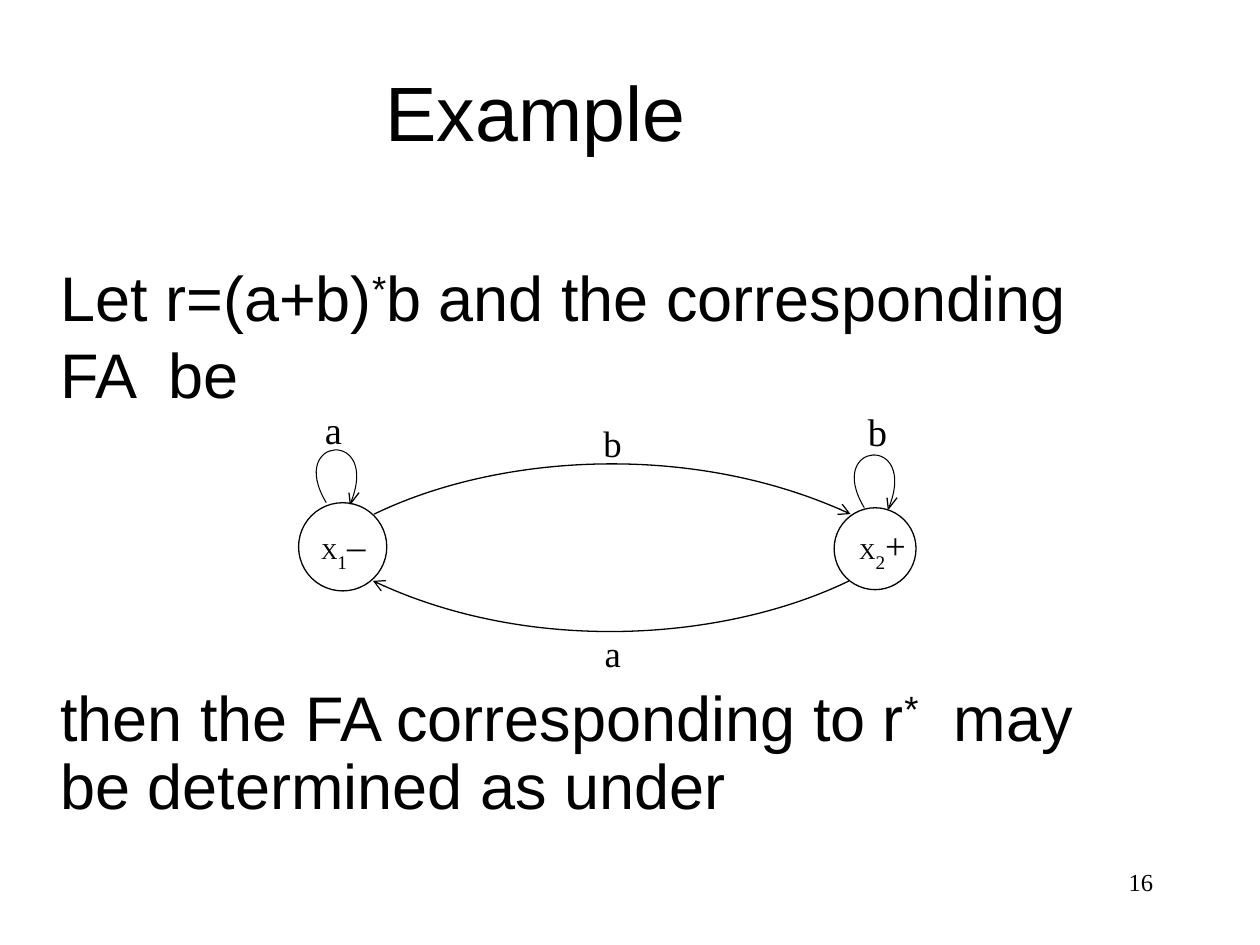
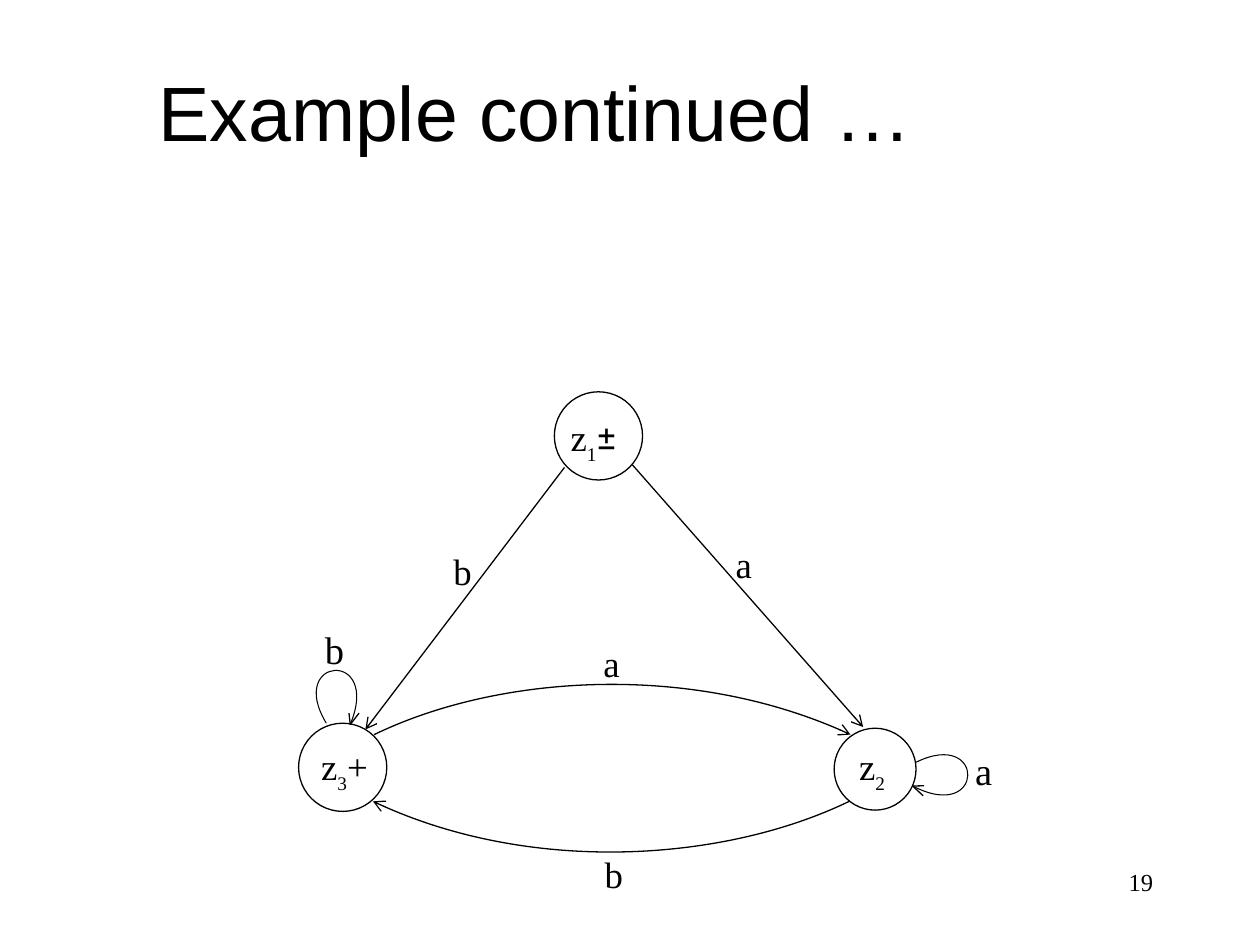
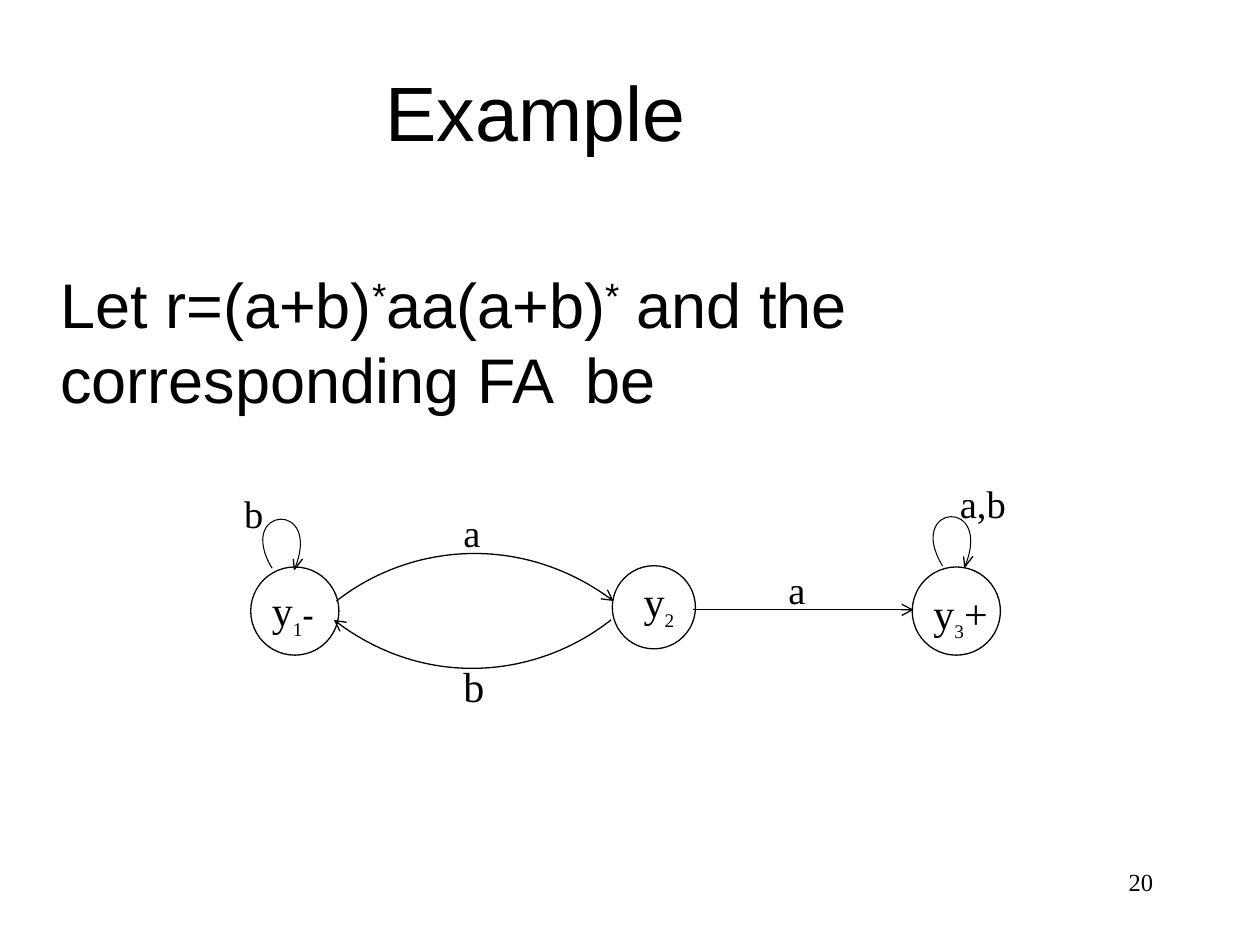
from dataclasses import dataclass
from math import cos, radians, sin
from typing import NamedTuple

from lxml.etree import SubElement
from pptx import Presentation
from pptx.dml.color import RGBColor
from pptx.enum.shapes import MSO_CONNECTOR as Connector, MSO_SHAPE as Preset
from pptx.enum.text import MSO_ANCHOR as Anchor, PP_ALIGN as Align
from pptx.oxml.ns import qn
from pptx.util import Inches, Pt


@dataclass(frozen=True)
class Theme:
    ink: RGBColor = RGBColor(0x00, 0x00, 0x00)
    paper: RGBColor = RGBColor(0xFF, 0xFF, 0xFF)
    sans: str = "Arial"
    serif: str = "Times New Roman"
    sign: str = "Cabin"
    title: float = 44
    body: float = 36
    large: float = 24
    loop_tag: float = 22
    tag: float = 21
    index: float = 19
    page: float = 14
    small: float = 13
    edge: float = 0.75
    loop_edge: float = 0.6


THEME = Theme()


class Point(NamedTuple):
    x: float
    y: float

    def plus(self, dx: float, dy: float) -> "Point":
        return Point(self.x + dx, self.y + dy)


class Box(NamedTuple):
    left: float
    top: float
    width: float
    height: float


class Run(NamedTuple):
    text: str
    size: float
    font: str = THEME.serif
    base: int = 0
    bold: bool = False


@dataclass(frozen=True)
class Paragraph:
    runs: list[Run]
    line: float
    before: float = 0


@dataclass(frozen=True)
class Label:
    box: Box
    runs: list[Run]
    top_margin: float = 0.05


@dataclass(frozen=True)
class State:
    corner: Point
    size: float
    label: Label


@dataclass(frozen=True)
class Loop:
    start: Point
    scale: float = 1
    turn: float = 0


@dataclass(frozen=True)
class Automaton:
    states: list[State]
    arcs: list[list[Point]]
    loops: list[Loop]
    arrows: list[tuple[Point, Point]]
    tags: list[Label]


@dataclass(frozen=True)
class Page:
    title: str
    number: str
    automaton: Automaton
    body_top: float = 0
    body: tuple[Paragraph, ...] = ()


LOOP_CURVE = [Point(0, 0), Point(-0.32, -0.53), Point(0.44, -0.59), Point(0.19, 0.01)]
LOOP_BARBS = [Point(0.07, -0.09), Point(-0.01, -0.09)]


def write(paragraph, runs: list[Run]) -> None:
    for part in runs:
        run = paragraph.add_run()
        run.text = part.text
        run.font.name = part.font
        run.font.size = Pt(part.size)
        run.font.bold = part.bold
        run.font.color.rgb = THEME.ink
        if part.base:
            run._r.get_or_add_rPr().set("baseline", str(part.base * 1000))


def add_frame(slide, box: Box):
    frame = slide.shapes.add_textbox(*map(Inches, box)).text_frame
    frame.word_wrap = True
    return frame


def draw_label(slide, label: Label, align=Align.LEFT, anchor=Anchor.TOP) -> None:
    frame = add_frame(slide, label.box)
    frame.margin_top = Inches(label.top_margin)
    frame.vertical_anchor = anchor
    frame.paragraphs[0].alignment = align
    write(frame.paragraphs[0], label.runs)


def draw_body(slide, top: float, paragraphs: tuple[Paragraph, ...]) -> None:
    frame = add_frame(slide, Box(0, top, 8.94, 4.56))
    frame.margin_left = Inches(0.48)
    for order, content in enumerate(paragraphs):
        paragraph = frame.add_paragraph() if order else frame.paragraphs[0]
        paragraph.line_spacing = Pt(content.line)
        paragraph.space_before = Pt(content.before)
        write(paragraph, content.runs)


def ink_line(shape, width: float, arrow: bool = False) -> None:
    shape.line.color.rgb = THEME.ink
    shape.line.width = Pt(width)
    properties = shape._element.spPr
    if arrow:
        SubElement(properties.find(qn("a:ln")), qn("a:tailEnd"), type="arrow")
    SubElement(properties, qn("a:effectLst"))


def draw_line(slide, start: Point, end: Point, arrow: bool = False) -> None:
    line = slide.shapes.add_connector(
        Connector.STRAIGHT, *map(Inches, (*start, *end)))
    ink_line(line, THEME.edge, arrow)


def draw_curve(slide, points: list[Point], width: float, arrow: bool = False) -> None:
    start, *others = [(Inches(x), Inches(y)) for x, y in points]
    builder = slide.shapes.build_freeform(*start)
    builder.add_line_segments(others, close=False)
    curve = builder.convert_to_shape()
    segments = list(curve._element.iter(qn("a:lnTo")))
    outline = segments[0].getparent()
    bezier = SubElement(outline, qn("a:cubicBezTo"))
    for segment in segments:
        bezier.append(segment[0])
        outline.remove(segment)
    curve.fill.background()
    ink_line(curve, width, arrow)


def draw_loop(slide, loop: Loop) -> None:
    c, s = cos(radians(loop.turn)), sin(radians(loop.turn))

    def placed(origin: Point, offset: Point) -> Point:
        x, y = offset.x * loop.scale, offset.y * loop.scale
        return origin.plus(x * c - y * s, x * s + y * c)

    curve = [placed(loop.start, offset) for offset in LOOP_CURVE]
    draw_curve(slide, curve, THEME.loop_edge)
    for barb in LOOP_BARBS:
        draw_line(slide, curve[-1], placed(curve[-1], barb))


def draw_state(slide, state: State) -> None:
    circle = slide.shapes.add_shape(
        Preset.OVAL, *map(Inches, (*state.corner, state.size, state.size)))
    circle.fill.solid()
    circle.fill.fore_color.rgb = THEME.paper
    ink_line(circle, THEME.edge)
    draw_label(slide, state.label)


def draw_automaton(slide, automaton: Automaton) -> None:
    for state in automaton.states:
        draw_state(slide, state)
    for arc in automaton.arcs:
        draw_curve(slide, arc, THEME.edge, arrow=True)
    for loop in automaton.loops:
        draw_loop(slide, loop)
    for start, end in automaton.arrows:
        draw_line(slide, start, end, arrow=True)
    for tag in automaton.tags:
        draw_label(slide, tag)


def draw_page(deck, page: Page) -> None:
    slide = deck.slides.add_slide(deck.slide_layouts[6])
    draw_label(slide, Label(Box(7.17, 6.83, 2.08, 0.5), [Run(page.number, THEME.page)]),
               Align.RIGHT)
    draw_label(slide, Label(Box(0, 0.25, 8.5, 1.25),
                            [Run(page.title, THEME.title, THEME.sans)]),
               Align.CENTER, Anchor.MIDDLE)
    if page.body:
        draw_body(slide, page.body_top, page.body)
    draw_automaton(slide, page.automaton)


def tag(text: str, left: float, top: float, size: float = THEME.tag,
        width: float = 0.4, height: float = 0.4) -> Label:
    return Label(Box(left, top, width, height), [Run(text, size)])


def loop_tag(text: str, left: float, top: float) -> Label:
    return tag(text, left, top, THEME.loop_tag, 0.9, 0.56)


def indexed(name: str, size: float, index: str, *signs: Run) -> list[Run]:
    return [Run(name, size), Run(index, THEME.index, base=-30), *signs]


def low_label(left: float, top: float, runs: list[Run]) -> Label:
    return Label(Box(left, top, 0.98, 0.68), runs, top_margin=0.23)


def state_pair(shift: float, left: list[Run], right: list[Run],
               forward: str, back: str) -> Automaton:
    def moved(*points: tuple[float, float]) -> list[Point]:
        return [Point(x, y + shift) for x, y in points]

    return Automaton(
        states=[State(Point(2.37, 3.99 + shift), 0.7, low_label(2.45, 3.92 + shift, left)),
                State(Point(6.62, 4.03 + shift), 0.65, low_label(6.72, 3.92 + shift, right))],
        arcs=[moved((2.97, 4.08), (3.94, 3.61), (5.5, 3.5), (6.75, 4.08)),
              moved((6.74, 4.61), (5.77, 5.08), (4.2, 5.2), (2.96, 4.61))],
        loops=[Loop(Point(2.59, 3.99 + shift))],
        arrows=[],
        tags=[tag(forward, 4.69, 3.29 + shift), tag(back, 4.7, 4.96 + shift)])


def body_runs(*pieces: str) -> list[Run]:
    return [Run(piece, THEME.body, THEME.sans, 30 if piece == "*" else 0)
            for piece in pieces]


def ending_in_b() -> Page:
    automaton = state_pair(
        0, indexed("X", THEME.small, "1", Run("–", THEME.tag)),
        indexed("X", THEME.small, "2", Run("+", THEME.tag)), "b", "a")
    automaton.loops.append(Loop(Point(6.86, 4.03)))
    automaton.tags.extend([loop_tag("a", 2.48, 3.17), loop_tag("b", 6.79, 3.19)])
    return Page("Example", "16", automaton, 1.99, (
        Paragraph(body_runs("Let r=(a+b)", "*", "b and the corresponding FA  be"), 44),
        Paragraph(body_runs("then the FA corresponding to r", "*",
                            "  may be determined as under"), 39, before=157)))


def closure() -> Page:
    automaton = state_pair(
        1.75, indexed("z", THEME.tag, "3", Run("+", THEME.tag)),
        indexed("z", THEME.tag, "2"), "a", "b")
    first = indexed("z", THEME.tag, "1", Run("±", THEME.large, THEME.sign))
    automaton.states.append(State(Point(4.4, 3.11), 0.7, low_label(4.43, 3.02, first)))
    automaton.loops.append(Loop(Point(7.27, 6.05), turn=95))
    automaton.arrows.extend([(Point(4.48, 3.71), Point(2.9, 5.79)),
                             (Point(5.02, 3.69), Point(6.85, 5.77))])
    automaton.tags.extend([loop_tag("b", 2.48, 4.92), loop_tag("a", 7.64, 5.88),
                           tag("b", 3.5, 4.31), tag("a", 5.74, 4.25)])
    return Page("Example continued …", "19", automaton)


def containing_aa() -> Page:
    large = THEME.large
    minus = Run("-", THEME.index, bold=True)
    automaton = Automaton(
        states=[
            State(Point(1.99, 4.5), 0.7,
                  Label(Box(2.06, 4.59, 0.8, 0.46), indexed("y", large, "1", minus))),
            State(Point(4.86, 4.49), 0.66,
                  Label(Box(5.01, 4.52, 0.8, 0.46), indexed("y", large, "2"))),
            State(Point(7.24, 4.5), 0.7,
                  Label(Box(7.31, 4.61, 0.8, 0.34),
                        indexed("y", large, "3", Run("+", large))))],
        arcs=[[Point(2.67, 4.77), Point(3.23, 4.33), Point(4.14, 4.22), Point(4.87, 4.77)],
              [Point(4.85, 4.92), Point(4.28, 5.37), Point(3.37, 5.48), Point(2.65, 4.92)]],
        loops=[Loop(Point(2.16, 4.51), 0.93), Loop(Point(7.48, 4.49), 0.93)],
        arrows=[(Point(5.5, 4.84), Point(7.25, 4.84))],
        tags=[loop_tag("b", 1.84, 3.84), loop_tag("a,b", 7.52, 3.76),
              tag("a", 3.58, 3.99, THEME.loop_tag), tag("b", 3.58, 5.19, large),
              tag("a", 6.16, 4.44, THEME.loop_tag)])
    return Page("Example", "20", automaton, 2.06, (
        Paragraph(body_runs("Let r=(a+b)", "*", "aa(a+b)", "*",
                            " and the corresponding FA  be"), 43),))


def main() -> None:
    deck = Presentation()
    deck.slide_width, deck.slide_height = Inches(10), Inches(7.5)
    for page in (ending_in_b(), closure(), containing_aa()):
        draw_page(deck, page)
    deck.save("out.pptx")


if __name__ == "__main__":
    main()
